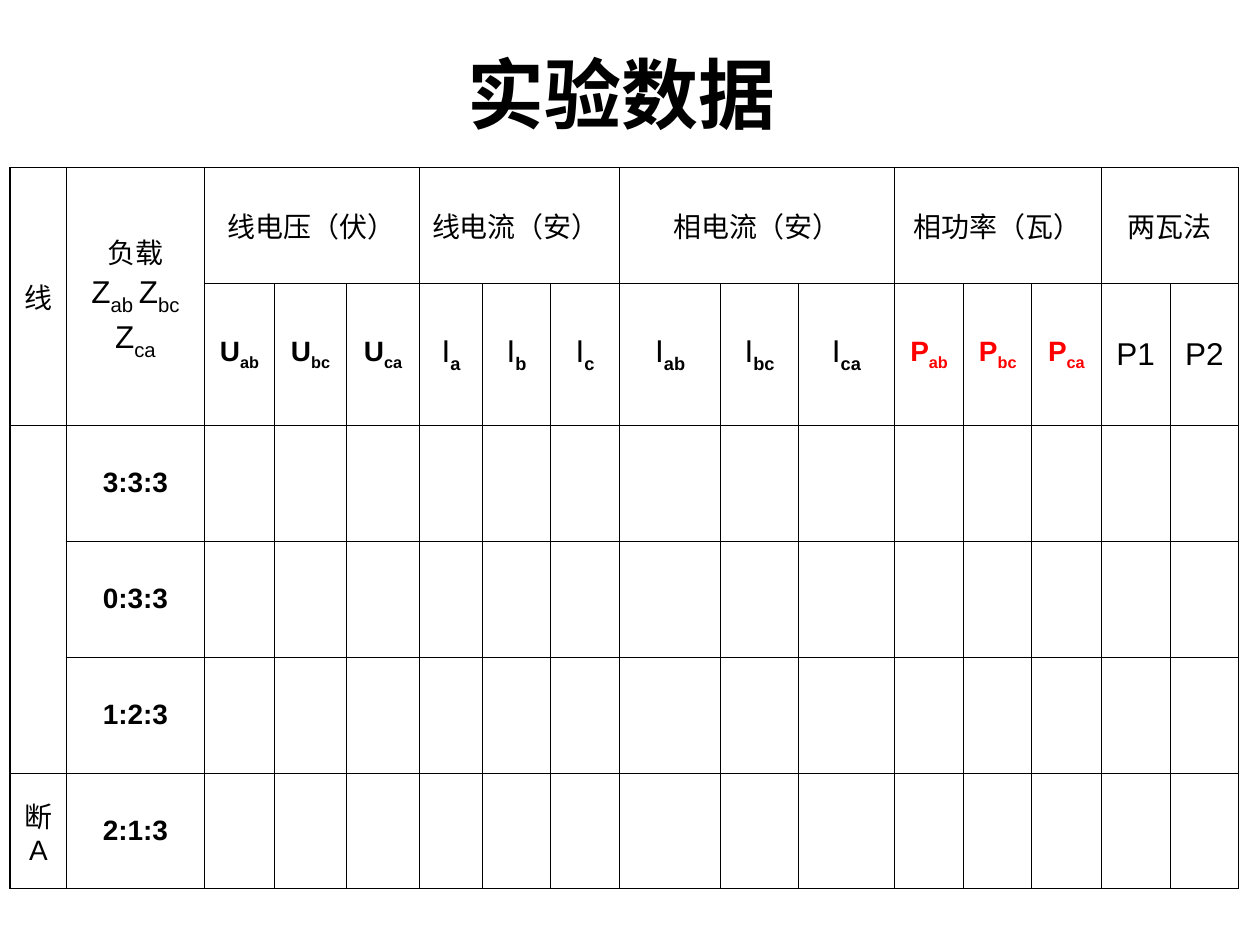
from lxml.etree import SubElement
from pptx import Presentation
from pptx.dml.color import RGBColor
from pptx.enum.text import MSO_ANCHOR as Anchor, PP_ALIGN as Align
from pptx.oxml.ns import qn
from pptx.util import Inches, Pt

BLACK = RGBColor(0, 0, 0)
RED = RGBColor(255, 0, 0)
FONT = "Arial"
THIN, THICK = 0.45, 0.96
COLUMN_WIDTHS = [0.45, 1.09, 0.56, 0.57, 0.58, 0.5, 0.54, 0.55,
                 0.8, 0.62, 0.76, 0.55, 0.54, 0.55, 0.55, 0.54]
ROW_HEIGHTS = [0.92, 1.06, 0.92, 0.92, 0.92, 0.92]
PHASES = ["ab", "bc", "ca"]
LOADS = ["3:3:3", "0:3:3", "1:2:3", "2:1:3"]
GROUPS = [
    ("线电压（伏）", 3, Align.CENTER),
    ("线电流（安）", 3, Align.LEFT),
    ("相电流（安）", 3, Align.CENTER),
    ("相功率（瓦）", 3, Align.CENTER),
    ("两瓦法", 2, Align.CENTER),
]


def style_paragraph(paragraph, size, color=BLACK, bold=False, align=Align.CENTER):
    paragraph.alignment = align
    font = paragraph.font
    font.name, font.size, font.bold = FONT, Pt(size), bold
    font.color.rgb = color


def add_symbol(paragraph, letter, subscript):
    paragraph.add_run().text = letter
    lower = paragraph.add_run()
    lower.text = subscript
    lower._r.get_or_add_rPr().set("baseline", "-25000")
    return lower


def write_cell(cell, text, size=16, bold=False, align=Align.CENTER):
    paragraph = cell.text_frame.paragraphs[0]
    paragraph.add_run().text = text
    style_paragraph(paragraph, size, bold=bold, align=align)


def write_symbols(table, column, letter, subscripts, size, bold=True, color=BLACK):
    for offset, subscript in enumerate(subscripts):
        paragraph = table.cell(1, column + offset).text_frame.paragraphs[0]
        lower = add_symbol(paragraph, letter, subscript)
        style_paragraph(paragraph, size, color, bold)
        if not bold:
            lower.font.bold = True


def write_load_heading(cell):
    write_cell(cell, "负载")
    paragraph = cell.text_frame.add_paragraph()
    for subscript in ["ab ", "bc ", "ca"]:
        add_symbol(paragraph, "Z", subscript).font.size = Pt(20)
    style_paragraph(paragraph, 18)


def set_border(cell, side, width):
    properties = cell._tc.get_or_add_tcPr()
    line = SubElement(properties, qn(f"a:ln{side}"), w=str(Pt(width)))
    fill = SubElement(line, qn("a:solidFill"))
    SubElement(fill, qn("a:srgbClr"), val=str(BLACK))


def format_cells(table):
    for row in range(len(ROW_HEIGHTS)):
        for column in range(len(COLUMN_WIDTHS)):
            cell = table.cell(row, column)
            last_row, last_column = row, column
            if cell.is_merge_origin:
                last_row += cell.span_height - 1
                last_column += cell.span_width - 1
            outer_sides = {
                "L": column == 0,
                "R": last_column == len(COLUMN_WIDTHS) - 1,
                "T": row == 0,
                "B": last_row == len(ROW_HEIGHTS) - 1,
            }
            for side, outer in outer_sides.items():
                set_border(cell, side, THICK if outer else THIN)
            cell.fill.background()
            cell.vertical_anchor = Anchor.MIDDLE


def add_title(slide):
    box = slide.shapes.add_textbox(Inches(0.5), Inches(0.3), Inches(9), Inches(0.87))
    frame = box.text_frame
    frame.word_wrap = True
    frame.vertical_anchor = Anchor.MIDDLE
    paragraph = frame.paragraphs[0]
    paragraph.add_run().text = "实验数据 "
    style_paragraph(paragraph, 44, bold=True)


def add_data_table(slide):
    frame = slide.shapes.add_table(
        len(ROW_HEIGHTS), len(COLUMN_WIDTHS),
        Inches(0.08), Inches(1.33), Inches(9.75), Inches(5.67))
    table = frame.table
    table.first_row = table.horz_banding = False
    for column, width in zip(table.columns, COLUMN_WIDTHS):
        column.width = Inches(width)
    for row, height in zip(table.rows, ROW_HEIGHTS):
        row.height = Inches(height)
    return table


def fill_headings(table):
    for column in range(2):
        table.cell(0, column).merge(table.cell(1, column))
    write_cell(table.cell(0, 0), "线")
    write_load_heading(table.cell(0, 1))
    column = 2
    for text, span, align in GROUPS:
        table.cell(0, column).merge(table.cell(0, column + span - 1))
        write_cell(table.cell(0, column), text, align=align)
        column += span
    write_symbols(table, 2, "U", PHASES, 16)
    write_symbols(table, 5, "I", "abc", 18, bold=False)
    write_symbols(table, 8, "I", PHASES, 18, bold=False)
    write_symbols(table, 11, "P", PHASES, 16, color=RED)
    for number in (1, 2):
        write_cell(table.cell(1, 13 + number), f"P{number}", 18)


def fill_loads(table):
    table.cell(2, 0).merge(table.cell(4, 0))
    write_cell(table.cell(5, 0), "断A")
    for row, load in enumerate(LOADS, start=2):
        write_cell(table.cell(row, 1), load, bold=True)


def main():
    presentation = Presentation()
    presentation.slide_width, presentation.slide_height = Inches(10), Inches(7.5)
    slide = presentation.slides.add_slide(presentation.slide_layouts[6])
    add_title(slide)
    table = add_data_table(slide)
    fill_headings(table)
    fill_loads(table)
    format_cells(table)
    presentation.save("out.pptx")


if __name__ == "__main__":
    main()
